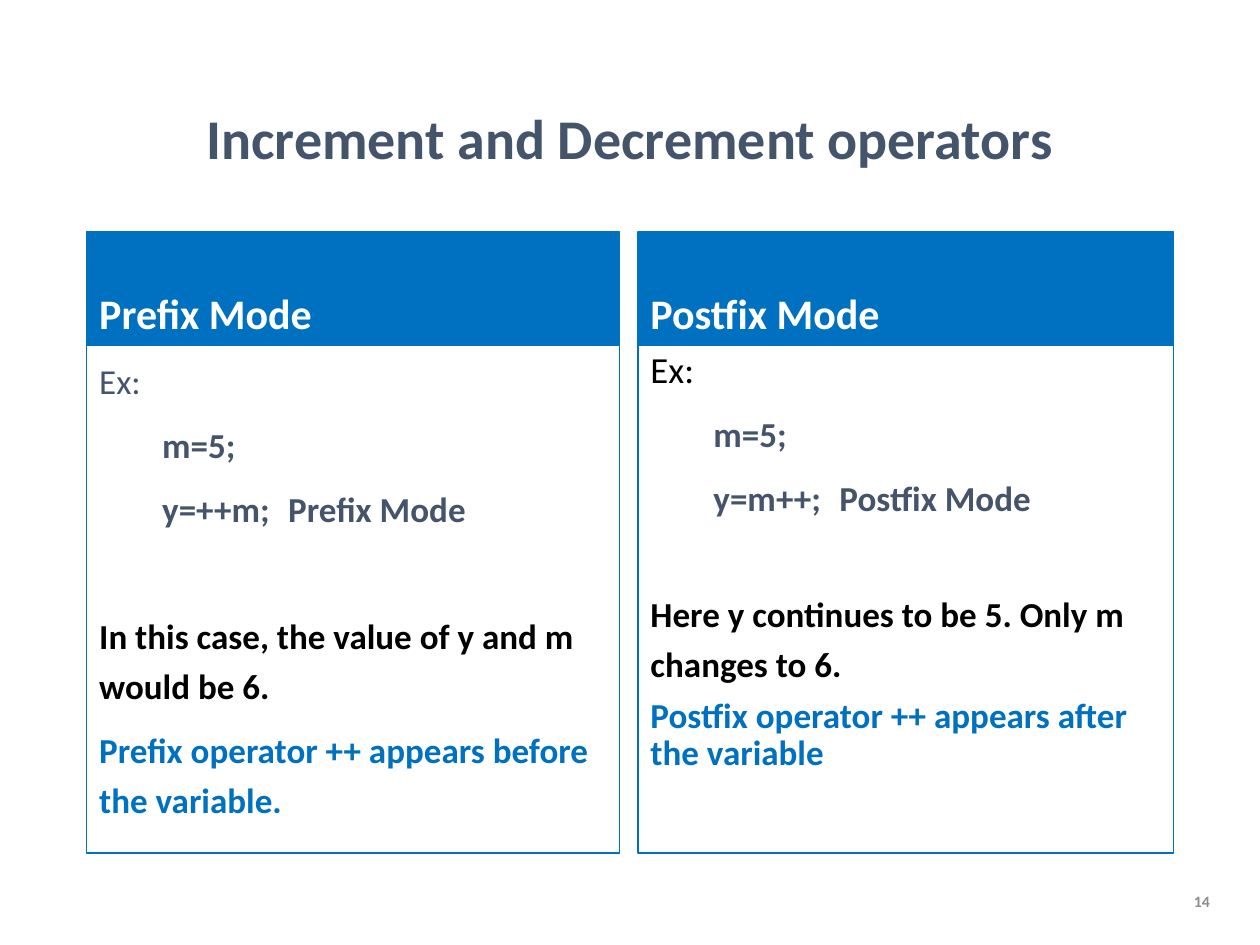
from lxml import etree
from pptx import Presentation
from pptx import util as u
from pptx.dml.color import RGBColor
from pptx.enum import text
from pptx.oxml.ns import qn

COLORS = {"slate": "44546A", "blue": "0070C0", "white": "FFFFFF",
          "black": "000000", "gray": "8C8C8C"}
FONT = "Calibri"
HEADING = "Increment and Decrement operators"
PAGE = "14"
BODY_GAP = 7.5

MODES = [
    {"name": "Prefix Mode", "left": 49.5, "width": 304.5, "lines": [
        {"words": "Ex:", "bold": False, "before": 0},
        {"words": "\tm=5;", "tabs": [58.5]},
        {"words": "\ty=++m;\tPrefix Mode", "tabs": [54, 124.5]},
        {"words": "In this case, the value of y and m would be 6.",
         "color": "black", "before": 43.8},
        {"words": "Prefix operator ++ appears before the variable.", "color": "blue"},
    ]},
    {"name": "Postfix Mode", "left": 364.5, "width": 306, "lines": [
        {"words": "Ex:", "size": 21, "color": "black", "bold": False,
         "spacing": 0.9, "before": 0},
        {"words": "\tm=5;", "tabs": [54]},
        {"words": "\ty=m++;\tPostfix Mode", "tabs": [54, 128.5]},
        {"words": "Here y continues to be 5. Only m changes to 6.",
         "color": "black", "before": 37.5},
        {"words": "Postfix operator ++ appears after the variable",
         "color": "blue", "spacing": 0.9},
    ]},
]

HEAD_TOP, HEAD_HEIGHT, BODY_HEIGHT = 132.5, 64.8, 290.2


def rgb(color):
    return RGBColor.from_string(COLORS[color])


def place(box, left, top, width, height, anchor):
    box.left, box.top, box.width, box.height = map(u.Pt, (left, top, width, height))
    frame = box.text_frame
    frame.word_wrap = True
    frame.auto_size = text.MSO_AUTO_SIZE.NONE
    frame.vertical_anchor = anchor
    return frame


def write(paragraph, words, size=20, color="slate", bold=True, spacing=1.2,
          before=BODY_GAP, tabs=(), align=text.PP_ALIGN.LEFT):
    props = paragraph._p.get_or_add_pPr()
    props.set("marL", "0")
    props.set("indent", "0")
    etree.SubElement(props, qn("a:buNone"))
    if tabs:
        stops = etree.SubElement(props, qn("a:tabLst"))
        for stop in tabs:
            etree.SubElement(stops, qn("a:tab"), pos=str(u.Pt(stop)), algn="l")
    paragraph.alignment = align
    paragraph.line_spacing = spacing
    paragraph.space_before = u.Pt(before)
    paragraph.space_after = u.Pt(0)
    run = paragraph.add_run()
    run.text = words
    run.font.name = FONT
    run.font.size = u.Pt(size)
    run.font.bold = bold
    run.font.color.rgb = rgb(color)


def outline(box):
    box.line.color.rgb = rgb("blue")
    box.line.width = u.Pt(0.75)


def add_mode(head, body, mode):
    frame = place(head, mode["left"], HEAD_TOP, mode["width"], HEAD_HEIGHT,
                  text.MSO_ANCHOR.BOTTOM)
    head.fill.solid()
    head.fill.fore_color.rgb = rgb("blue")
    write(frame.paragraphs[0], mode["name"], 24, "white", spacing=0.9, before=0)
    frame = place(body, mode["left"], HEAD_TOP + HEAD_HEIGHT, mode["width"],
                  BODY_HEIGHT, text.MSO_ANCHOR.TOP)
    for i, line in enumerate(mode["lines"]):
        write(frame.add_paragraph() if i else frame.paragraphs[0], **line)
    outline(head)
    outline(body)


def main():
    deck = Presentation()
    deck.slide_width, deck.slide_height = u.Pt(720), u.Pt(540)
    slide = deck.slides.add_slide(deck.slide_layouts[4])
    title, *panels = slide.placeholders
    frame = place(title, 49.5, 28.8, 621, 104.4, text.MSO_ANCHOR.MIDDLE)
    write(frame.paragraphs[0], HEADING, 32, spacing=0.9, before=0,
          align=text.PP_ALIGN.CENTER)
    for head, body, mode in zip(panels[::2], panels[1::2], MODES):
        add_mode(head, body, mode)
    number = slide.shapes.add_textbox(0, 0, 0, 0)
    frame = place(number, 670.3, 500.4, 28.1, 28.8, text.MSO_ANCHOR.MIDDLE)
    write(frame.paragraphs[0], PAGE, 9, "gray", spacing=1.0, before=0,
          align=text.PP_ALIGN.RIGHT)
    deck.save("out.pptx")


if __name__ == "__main__":
    main()
